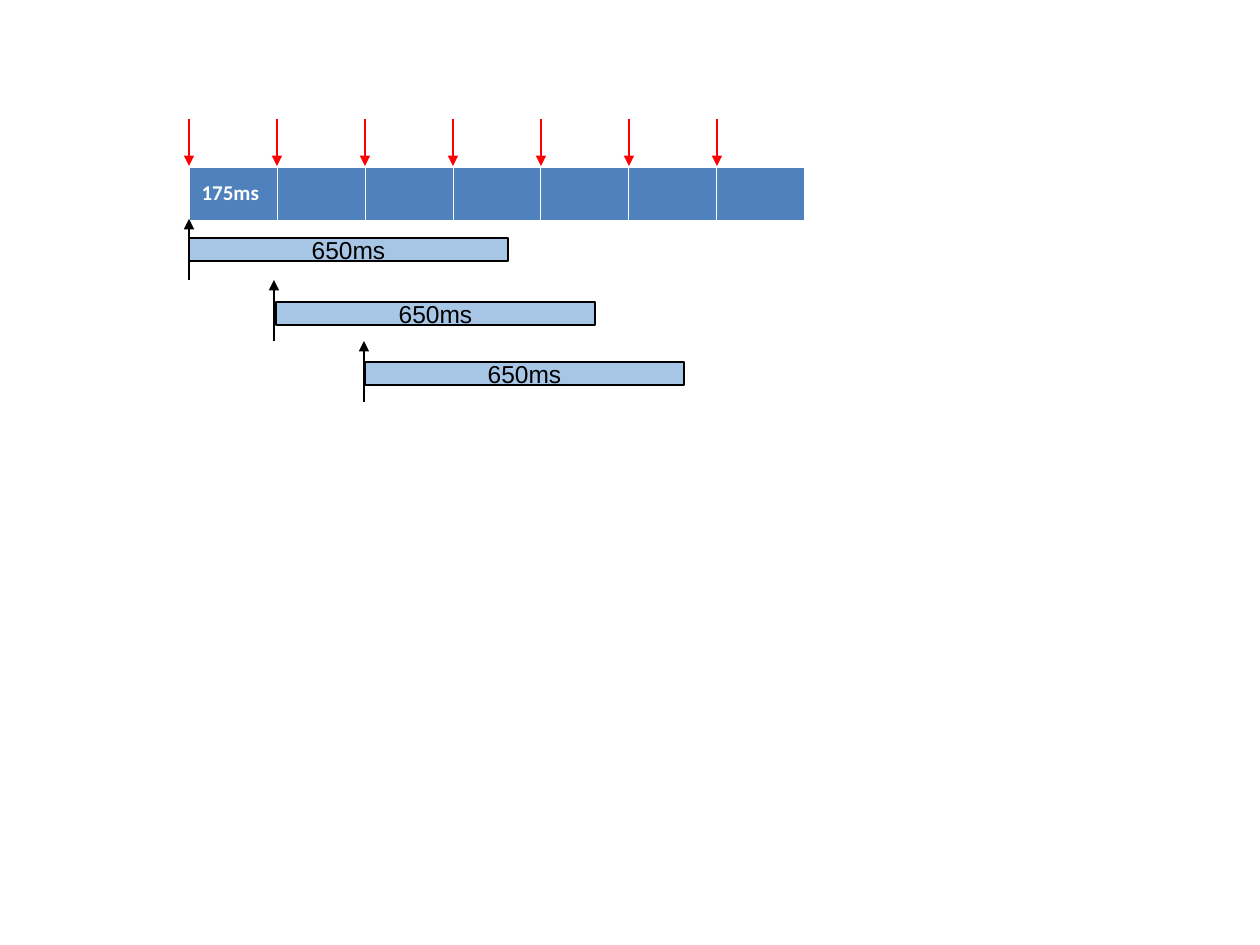
from lxml.etree import SubElement
from pptx import Presentation
from pptx.dml.color import RGBColor
from pptx.enum.shapes import MSO_CONNECTOR as Connector, MSO_SHAPE as Shape
from pptx.enum.text import MSO_ANCHOR as Anchor, PP_ALIGN as Align
from pptx.oxml.ns import qn
from pptx.util import Emu, Pt

PX = 914400 / 126
COLORS = {
    "slot": "4F81BD",
    "window": "A7C6E5",
    "onset": "FF0000",
    "ink": "000000",
    "white": "FFFFFF",
}


def px(*lengths):
    return [Emu(round(length * PX)) for length in lengths]


def color(name):
    return RGBColor.from_string(COLORS[name])


class TimelinePage:
    line_width = Pt(0.75)
    border_width = Pt(0.45)

    def __init__(self, deck):
        self.page = deck.slides.add_slide(deck.slide_layouts[6])

    def add_label(self, para, text, font, size, ink, bold=False):
        span = para.add_run()
        span.text = text
        span.font.name = font
        span.font.size = Pt(size)
        span.font.bold = bold
        span.font.color.rgb = color(ink)

    def border(self, cell):
        props = cell._tc.get_or_add_tcPr()
        for position, side in enumerate(("lnL", "lnR", "lnT", "lnB")):
            line = SubElement(props, qn(f"a:{side}"), w=str(self.border_width))
            fill = SubElement(line, qn("a:solidFill"))
            SubElement(fill, qn("a:srgbClr"), val=COLORS["white"])
            props.insert(position, line)

    def slots(self, left, top, width, height, count, label):
        frame = self.page.shapes.add_table(1, count, *px(left, top, width * count, height))
        table = frame.table
        for column in table.columns:
            column.width = px(width)[0]
        for cell in table.rows[0].cells:
            cell.vertical_anchor = Anchor.MIDDLE
            cell.fill.solid()
            cell.fill.fore_color.rgb = color("slot")
            self.border(cell)
        para = table.cell(0, 0).text_frame.paragraphs[0]
        para.space_before = Pt(3)
        self.add_label(para, label, "Calibri", 12, "white", bold=True)

    def arrow(self, x, start, end, ink):
        arrow = self.page.shapes.add_connector(Connector.STRAIGHT, *px(x, start, x, end))
        arrow.line.color.rgb = color(ink)
        arrow.line.width = self.line_width
        SubElement(arrow.line._get_or_add_ln(), qn("a:tailEnd"), type="triangle")
        SubElement(arrow._element.spPr, qn("a:effectLst"))

    def window(self, left, top, width, height, label):
        box = self.page.shapes.add_shape(
            Shape.FLOWCHART_PROCESS, *px(left, top, width, height))
        box.shadow.inherit = False
        box.fill.solid()
        box.fill.fore_color.rgb = color("window")
        box.line.color.rgb = color("ink")
        box.line.width = self.line_width
        box.text_frame.word_wrap = False
        box.text_frame.vertical_anchor = Anchor.MIDDLE
        para = box.text_frame.paragraphs[0]
        para.alignment = Align.CENTER
        self.add_label(para, label, "Arial", 14, "ink")


def main():
    deck = Presentation()
    deck.slide_width, deck.slide_height = px(1260, 945)
    timeline = TimelinePage(deck)

    # Row of time slots
    left, top, slot, height, count = 189, 167, 88, 53, 7
    timeline.slots(left, top, slot, height, count, "175ms")

    # Start marks, one step lower for each window
    for step, x in enumerate((189, 274, 364)):
        end = 219 + 61 * step
        timeline.arrow(x, end + 61, end, "ink")

    # Overlapping windows
    for x, y in ((189, 238), (276, 302), (365, 362)):
        timeline.window(x, y, 319, 23, "650ms")

    # Onset arrows above the slot edges
    for index in range(count):
        timeline.arrow(left + slot * index, top - 48, top - 1, "onset")

    deck.save("out.pptx")


if __name__ == "__main__":
    main()
